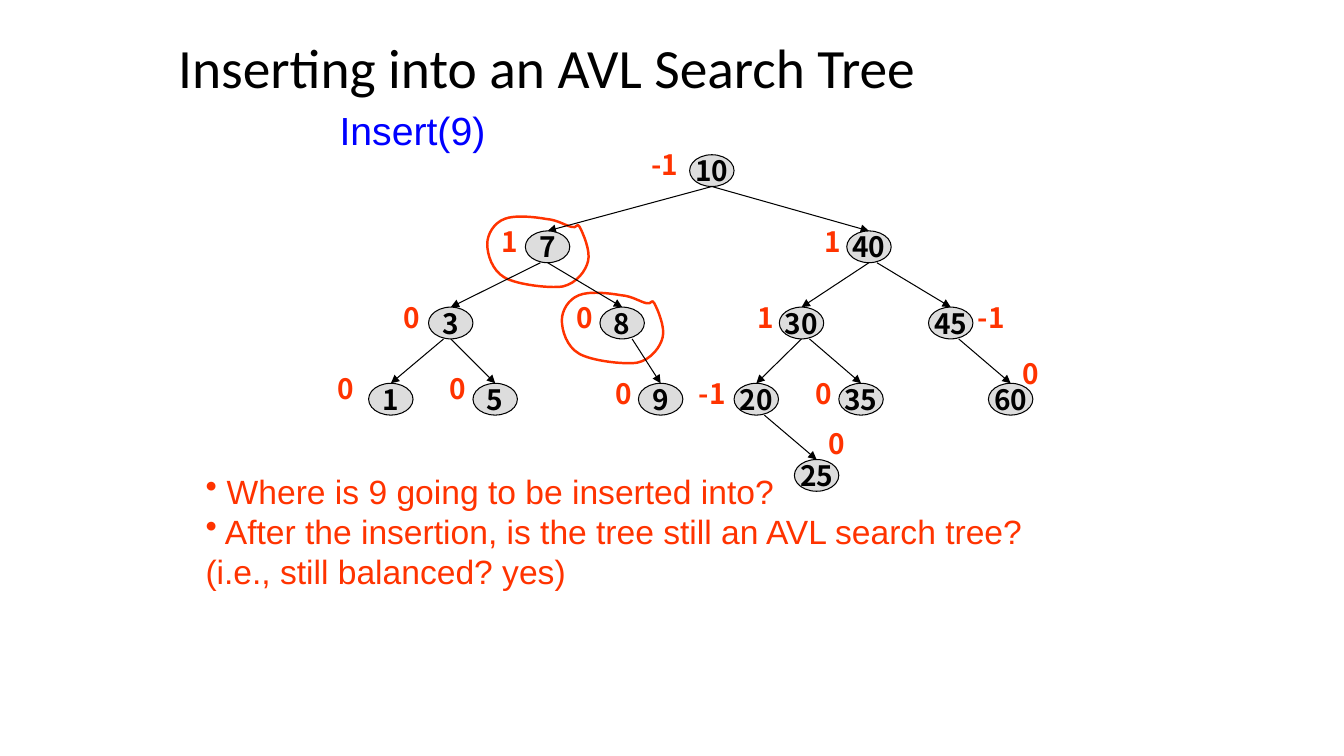
from lxml.etree import SubElement
from pptx import Presentation
from pptx.dml.color import RGBColor
from pptx.enum.shapes import MSO_CONNECTOR, MSO_SHAPE
from pptx.enum.text import MSO_ANCHOR, MSO_AUTO_SIZE, PP_ALIGN
from pptx.oxml.ns import qn
from pptx.oxml.xmlchemy import OxmlElement
from pptx.util import Cm, Pt

BLACK = RGBColor(0x00, 0x00, 0x00)
BLUE = RGBColor(0x00, 0x00, 0xFF)
RED = RGBColor(0xFF, 0x33, 0x00)
GREY = RGBColor(0xDD, 0xDD, 0xDD)

TITLE = {"name": "Calibri", "size": Pt(39.6)}
OPERATION = {"name": "Arial", "size": Pt(28)}
QUESTION = {"name": "Arial", "size": Pt(24)}
KEY = {"name": "Noto Sans CJK KR", "size": Pt(20), "bold": True}
GROWING = {"word_wrap": False, "auto_size": MSO_AUTO_SIZE.SHAPE_TO_FIT_TEXT}

NODE_WIDTH, NODE_HEIGHT = 1.12, 0.8
FIRST_LEVEL, LEVEL_GAP = 0.71, 1.92

# key: (parent, level, centre x, shift of the arrow's start,
#       balance, balance offset from the centre)
NODES = {
    10: (None, 0, 9.68, 0, "-1", (-1.78, -0.7)),
    7: (10, 1, 5.54, 0, "1", (-1.4, -0.7)),
    40: (10, 1, 13.64, 0, "1", (-1.36, -0.7)),
    3: (7, 2, 3.1, -0.18, "0", (-1.45, -0.7)),
    8: (7, 2, 7.42, 0, "0", (-1.4, -0.7)),
    30: (40, 2, 11.94, 0, "1", (-1.35, -0.7)),
    45: (40, 2, 15.7, 0.2, "-1", (0.43, -0.7)),
    1: (3, 3, 1.59, -0.18, "0", (-1.59, -0.83)),
    5: (3, 3, 4.22, 0, "0", (-1.4, -0.83)),
    9: (8, 3, 8.39, 0.25, "0", (-1.4, -0.7)),
    20: (30, 3, 10.8, 0, "-1", (-1.7, -0.7)),
    35: (30, 3, 13.44, 0.2, "0", (-1.4, -0.7)),
    60: (45, 3, 17.21, 0.2, "0", (0.06, -1.19)),
    25: (20, 4, 12.32, 0.2, "0", (0.05, -1.35)),
}
SEARCH_PATH = (8, 7)

# Hand-drawn loop around a node centre: a start, then Bézier triples.
LOOP_START = (-0.03, -0.7)
LOOP_CURVES = [
    ((-0.3, -0.75), (-0.84, -0.81), (-1.09, -0.7)),
    ((-1.35, -0.6), (-1.52, -0.32), (-1.52, -0.07)),
    ((-1.52, 0.19), (-1.4, 0.59), (-1.09, 0.77)),
    ((-0.79, 0.95), (0.03, 1.05), (0.38, 1)),
    ((0.74, 0.92), (0.97, 0.59), (1.02, 0.36)),
    ((1.09, 0.11), (0.89, -0.35), (0.81, -0.5)),
    ((0.74, -0.63), (0.74, -0.45), (0.61, -0.5)),
    ((0.46, -0.53), (0.25, -0.68), LOOP_START),
]


def set_values(target, values):
    for name, value in values.items():
        setattr(target, name, value)


def write(para, text, font, color):
    span = para.add_run()
    span.text = text
    set_values(span.font, font)
    span.font.color.rgb = color


def add_text(page, box, text, font, color, frame_format):
    frame = page.shapes.add_textbox(*map(Cm, box)).text_frame
    set_values(frame, frame_format)
    para = frame.paragraphs[0]
    write(para, text, font, color)
    return para


def add_title(page, box):
    para = add_text(page, box, "Inserting into an AVL Search Tree", TITLE, BLACK,
                    {"word_wrap": True, "vertical_anchor": MSO_ANCHOR.MIDDLE})
    para.line_spacing = 0.9


def add_arrow(page, start, end):
    arrow = page.shapes.add_connector(MSO_CONNECTOR.STRAIGHT, *map(Cm, start + end))
    arrow.line.color.rgb = BLACK
    arrow.line.width = Pt(0.75)
    SubElement(arrow.line._get_or_add_ln(), qn("a:tailEnd"), type="triangle")
    SubElement(arrow._element.spPr, qn("a:effectLst"))


def add_node(page, x, y, key):
    node = page.shapes.add_shape(
        MSO_SHAPE.OVAL, Cm(x - NODE_WIDTH / 2), Cm(y - NODE_HEIGHT / 2),
        Cm(NODE_WIDTH), Cm(NODE_HEIGHT))
    node.shadow.inherit = False
    node.fill.solid()
    node.fill.fore_color.rgb = GREY
    node.line.color.rgb = BLACK
    node.line.width = Pt(0.75)
    set_values(node.text_frame, {"word_wrap": False, "vertical_anchor": MSO_ANCHOR.MIDDLE})
    para = node.text_frame.paragraphs[0]
    para.alignment = PP_ALIGN.CENTER
    write(para, str(key), KEY, BLACK)


def bend_segments(outline):
    """Turn each three straight segments into one Bézier curve."""
    segments = list(outline._element.iter(qn("a:lnTo")))
    for index in range(0, len(segments), 3):
        curve = OxmlElement("a:cubicBezTo")
        segments[index].addprevious(curve)
        for segment in segments[index:index + 3]:
            curve.append(segment[0])
            segment.getparent().remove(segment)


def add_loop(page, x, y):
    points = [(Cm(x + dx), Cm(y + dy)) for curve in LOOP_CURVES for dx, dy in curve]
    builder = page.shapes.build_freeform(*points[-1])
    builder.add_line_segments(points, close=False)
    loop = builder.convert_to_shape()
    bend_segments(loop)
    loop.shadow.inherit = False
    loop.fill.background()
    loop.line.color.rgb = RED
    loop.line.width = Pt(1.75)


def add_tree(page, left, top):
    centres = {key: (left + x, top + FIRST_LEVEL + level * LEVEL_GAP)
               for key, (_, level, x, *_) in NODES.items()}
    for key in SEARCH_PATH:
        add_loop(page, *centres[key])
    for key, (parent, _, _, shift, balance, (dx, dy)) in NODES.items():
        x, y = centres[key]
        width = 0.91 if len(balance) == 1 else 1.22
        add_text(page, (x + dx, y + dy, width, 1.12), balance, KEY, RED, GROWING)
        if parent is not None:
            parent_x, parent_y = centres[parent]
            add_arrow(page, (parent_x + shift, parent_y + NODE_HEIGHT / 2),
                      (x, y - NODE_HEIGHT / 2))
    for key, centre in centres.items():
        add_node(page, *centre, key)


def add_questions(page, box):
    frame = page.shapes.add_textbox(*map(Cm, box)).text_frame
    frame.word_wrap = True
    questions = [
        " Where is 9 going to be inserted into?",
        " After the insertion, is the tree still an AVL search tree? "
        "(i.e., still balanced? yes)",
    ]
    for index, question in enumerate(questions):
        para = frame.add_paragraph() if index else frame.paragraphs[0]
        SubElement(para._p.get_or_add_pPr(), qn("a:buChar"), char="•")
        write(para, question, QUESTION, RED)


def main():
    deck = Presentation()
    deck.slide_width, deck.slide_height = Cm(33.87), Cm(19.05)
    page = deck.slides.add_slide(deck.slide_layouts[6])
    add_title(page, (4.24, 0.93, 22.23, 1.7))
    add_text(page, (8.31, 2.55, 4.19, 1.45), "Insert(9)", OPERATION, BLUE, GROWING)
    add_tree(page, 8.26, 3.59)
    add_questions(page, (4.93, 11.73, 22.61, 4.37))
    deck.save("out.pptx")


if __name__ == "__main__":
    main()
